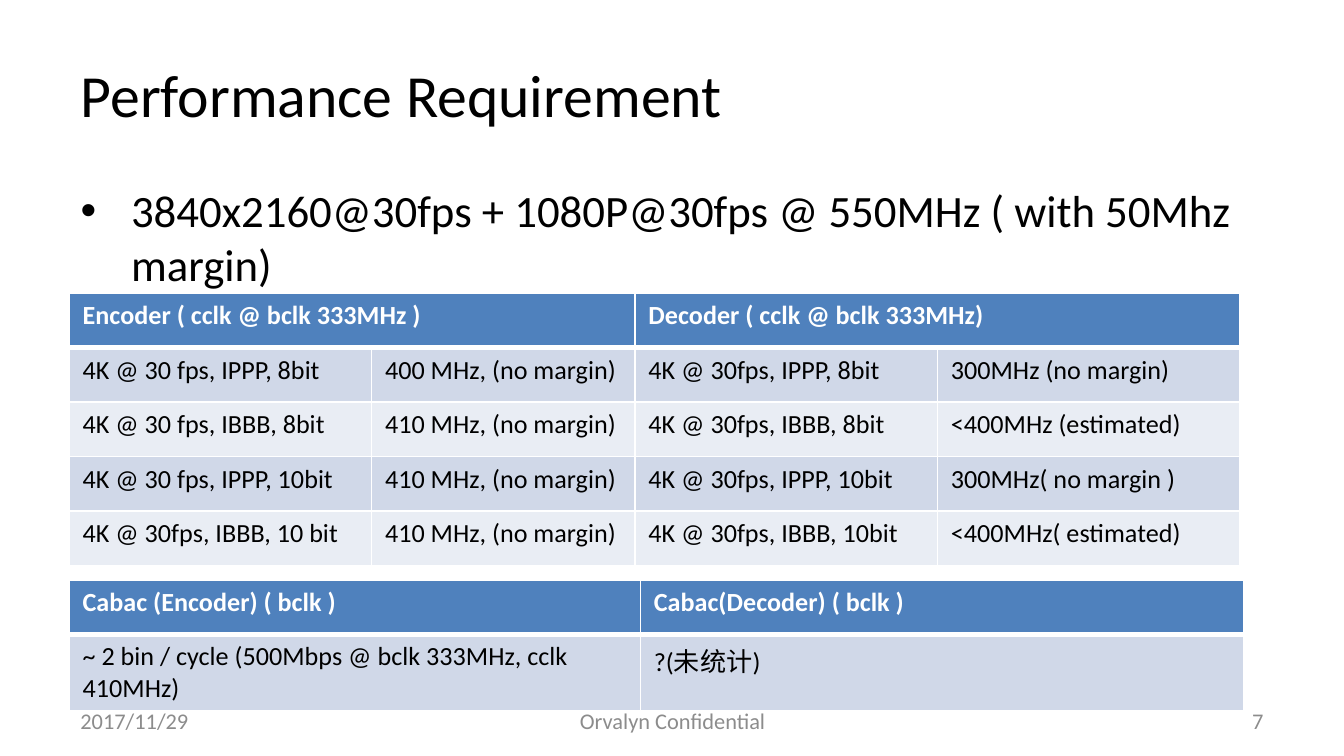
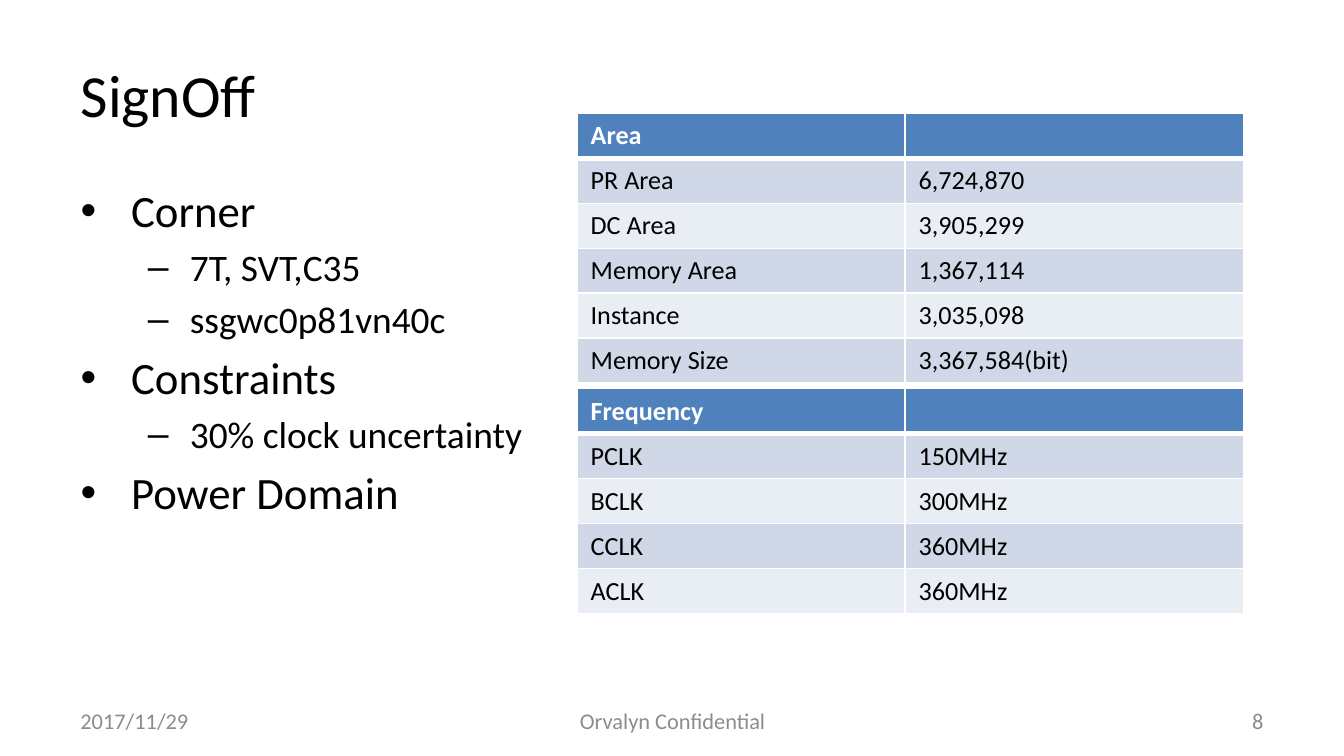
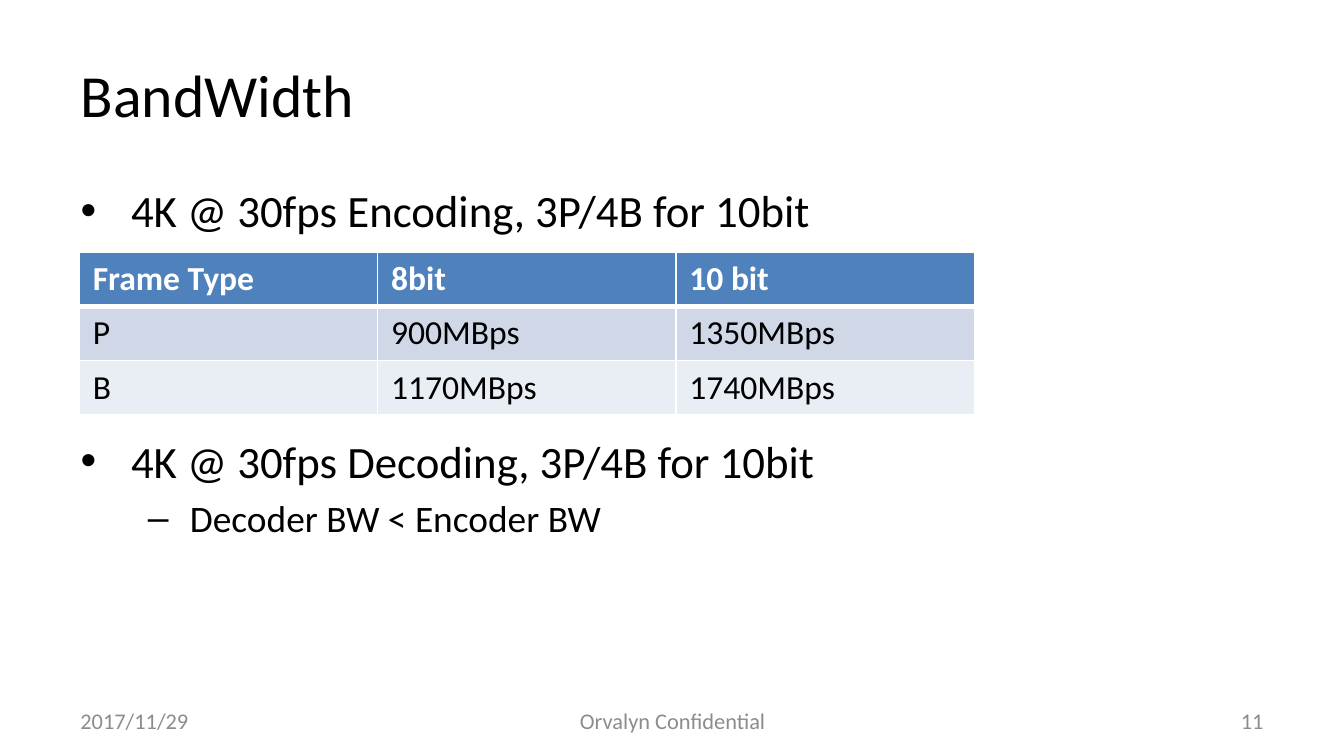
from lxml import etree
from pptx import Presentation
from pptx.dml.color import RGBColor
from pptx.enum.text import MSO_ANCHOR, MSO_AUTO_SIZE, PP_ALIGN
from pptx.oxml.ns import qn
from pptx.util import Inches, Pt

LEFT, CENTER, RIGHT = PP_ALIGN.LEFT, PP_ALIGN.CENTER, PP_ALIGN.RIGHT
MIDDLE, NO_FIT = MSO_ANCHOR.MIDDLE, MSO_AUTO_SIZE.NONE


class Theme:
    font = "Calibri"
    black, white, grey = "000000", "FFFFFF", "8C8C8C"
    header, bands = "4F81BD", ("D0D8E8", "E9EDF4")
    title_size, level_sizes, footer_size = 32, (24, 20), 12
    thin, thick = 1, 3


presentation = Presentation()
presentation.slide_width = Inches(10)
presentation.slide_height = Inches(10 * 9 / 16)
# One column and one row are a hundredth of the slide.
COLUMN = presentation.slide_width / 100
ROW = presentation.slide_height / 100

TITLE_FRAME = (5, 4.1, 90, 16.7)
BODY_FRAME = (5, 23.3, 90, 66)
FOOTER_TOP, FOOTER_HEIGHT = 92.7, 5.3
TALL, SHORT = 7.2, 5.95  # table row heights

SLIDES = [
    {
        "title": "Performance Requirement",
        "number": "7",
        "bullets": [(0, "3840x2160@30fps + 1080P@30fps @ 550MHz ( with 50Mhz margin)")],
        "tables": [
            {"at": (5.15, 38.8), "columns": (22.5, 19.6, 22.5, 22.5), "row": TALL, "size": 14,
             "cells": [
                 ("Encoder ( cclk @ bclk 333MHz )", None, "Decoder ( cclk @ bclk 333MHz)", None),
                 ("4K @ 30 fps, IPPP, 8bit", "400 MHz, (no margin)",
                  "4K @ 30fps, IPPP, 8bit", "300MHz (no margin)"),
                 ("4K @ 30 fps, IBBB, 8bit", "410 MHz, (no margin)",
                  "4K @ 30fps, IBBB, 8bit", "<400MHz (estimated)"),
                 ("4K @ 30 fps, IPPP, 10bit", "410 MHz, (no margin)",
                  "4K @ 30fps, IPPP, 10bit", "300MHz( no margin )"),
                 ("4K @ 30fps, IBBB, 10 bit", "410 MHz, (no margin)",
                  "4K @ 30fps, IBBB, 10bit", "<400MHz( estimated)"),
             ]},
            {"at": (5.15, 76.7), "columns": (42.5, 44.9), "row": TALL, "size": 14,
             "cells": [
                 ("Cabac (Encoder) ( bclk )", "Cabac(Decoder) ( bclk )"),
                 ("~ 2 bin / cycle (500Mbps @ bclk 333MHz, cclk 410MHz)", "?(未统计)"),
             ]},
        ],
    },
    {
        "title": "SignOff",
        "number": "8",
        "bullets": [
            (0, "Corner"), (1, "7T, SVT,C35"), (1, "ssgwc0p81vn40c"),
            (0, "Constraints"), (1, "30% clock uncertainty"),
            (0, "Power Domain"),
        ],
        "tables": [
            {"at": (42.95, 15), "columns": (24.4, 25.2), "row": SHORT, "size": 14,
             "cells": [
                 ("Area", ""), ("PR Area", "6,724,870"), ("DC Area", "3,905,299"),
                 ("Memory Area", "1,367,114"), ("Instance", "3,035,098"),
                 ("Memory Size", "3,367,584(bit)"),
             ]},
            {"at": (42.95, 51.4), "columns": (24.4, 25.2), "row": SHORT, "size": 14,
             "cells": [
                 ("Frequency", ""), ("PCLK", "150MHz"), ("BCLK", "300MHz"),
                 ("CCLK", "360MHz"), ("ACLK", "360MHz"),
             ]},
        ],
    },
    {
        "title": "BandWidth",
        "number": "11",
        "bullets": [
            (0, "4K @ 30fps Encoding, 3P/4B for 10bit"),
            (0, "4K @ 30fps Decoding, 3P/4B for 10bit"),
            (1, "Decoder BW < Encoder BW"),
        ],
        "space_before": {1: 105.5},  # room for the table between the bullets
        "tables": [
            {"at": (5.9, 33.3), "columns": (22.2, 22.2, 22.2), "row": TALL, "size": 18,
             "cells": [
                 ("Frame Type", "8bit", "10 bit"),
                 ("P", "900MBps", "1350MBps"),
                 ("B", "1170MBps", "1740MBps"),
             ]},
        ],
    },
]


def write(paragraph, text, size, color=Theme.black, bold=False):
    if not text:
        # An empty cell keeps its row low through its end-of-paragraph size.
        paragraph._p.get_or_add_endParaRPr().set("sz", str(size * 100))
        return
    run = paragraph.add_run()
    run.text = text
    for name, value in {"name": Theme.font, "size": Pt(size), "bold": bold}.items():
        setattr(run.font, name, value)
    run.font.color.rgb = RGBColor.from_string(color)


def place(shape, left, top, width, height):
    """Set a shape's frame, given in grid columns and rows."""
    shape.left, shape.width = round(left * COLUMN), round(width * COLUMN)
    shape.top, shape.height = round(top * ROW), round(height * ROW)


for content in SLIDES:
    slide = presentation.slides.add_slide(presentation.slide_layouts[1])

    title = slide.shapes.title
    place(title, *TITLE_FRAME)
    title.text_frame.auto_size = NO_FIT
    title.text_frame.vertical_anchor = MIDDLE
    heading = title.text_frame.paragraphs[0]
    heading.alignment = LEFT
    write(heading, content["title"], Theme.title_size)

    body = slide.placeholders[1]
    place(body, *BODY_FRAME)
    frame = body.text_frame
    frame.auto_size = NO_FIT
    gaps = {0: 0, **content.get("space_before", {})}
    for index, (level, text) in enumerate(content["bullets"]):
        paragraph = frame.add_paragraph() if index else frame.paragraphs[0]
        paragraph.level = level
        if index in gaps:
            paragraph.space_before = Pt(gaps[index])
        write(paragraph, text, Theme.level_sizes[level])

    for left, width, alignment, text in (
        (5, 23.3, LEFT, "2017/11/29"),
        (34.2, 31.7, CENTER, "Orvalyn Confidential"),
        (71.7, 23.3, RIGHT, content["number"]),
    ):
        footer = slide.shapes.add_textbox(0, 0, 0, 0)
        place(footer, left, FOOTER_TOP, width, FOOTER_HEIGHT)
        footer.text_frame.word_wrap = True
        footer.text_frame.vertical_anchor = MIDDLE
        paragraph = footer.text_frame.paragraphs[0]
        paragraph.alignment = alignment
        write(paragraph, text, Theme.footer_size, Theme.grey)

    for grid in content["tables"]:
        rows, widths = grid["cells"], grid["columns"]
        graphic = slide.shapes.add_table(len(rows), len(widths), 0, 0, 0, 0)
        place(graphic, *grid["at"], sum(widths), grid["row"] * len(rows))
        table = graphic.table
        table.horz_banding = False
        for column, width in zip(table.columns, widths):
            column.width = round(width * COLUMN)
        for row_index, texts in enumerate(rows):
            table.rows[row_index].height = round(grid["row"] * ROW)
            is_header = row_index == 0
            fill = Theme.header if is_header else Theme.bands[(row_index - 1) % 2]
            borders = {
                "a:lnL": Theme.thin,
                "a:lnR": Theme.thin,
                "a:lnT": Theme.thick if row_index == 1 else Theme.thin,
                "a:lnB": Theme.thick if is_header else Theme.thin,
            }
            for column_index, text in enumerate(texts):
                cell = table.cell(row_index, column_index)
                properties = cell._tc.get_or_add_tcPr()
                for tag, points in borders.items():
                    line = etree.SubElement(properties, qn(tag), w=str(Pt(points)))
                    solid = etree.SubElement(line, qn("a:solidFill"))
                    etree.SubElement(solid, qn("a:srgbClr"), val=Theme.white)
                cell.fill.solid()
                cell.fill.fore_color.rgb = RGBColor.from_string(fill)
                if text is None:
                    table.cell(row_index, column_index - 1).merge(cell)
                    continue
                write(cell.text_frame.paragraphs[0], text, grid["size"],
                      Theme.white if is_header else Theme.black, is_header)

presentation.save("out.pptx")
